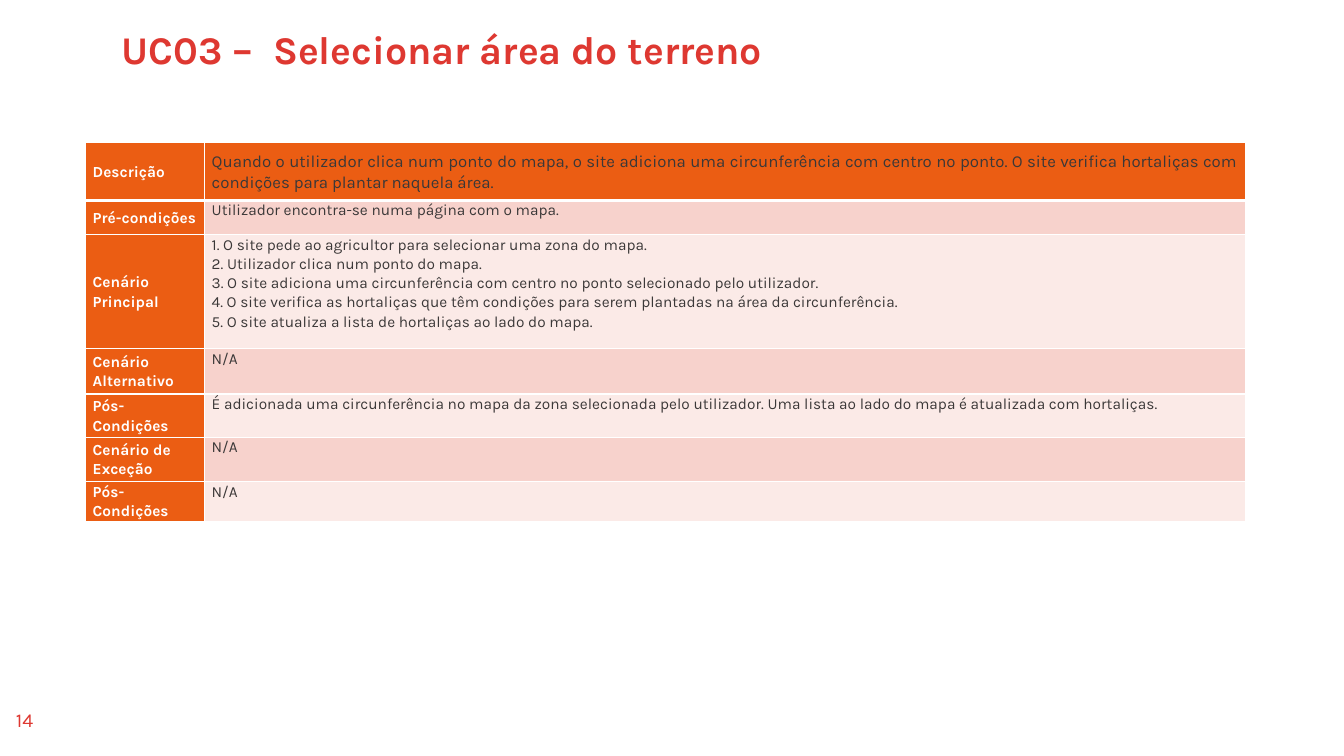
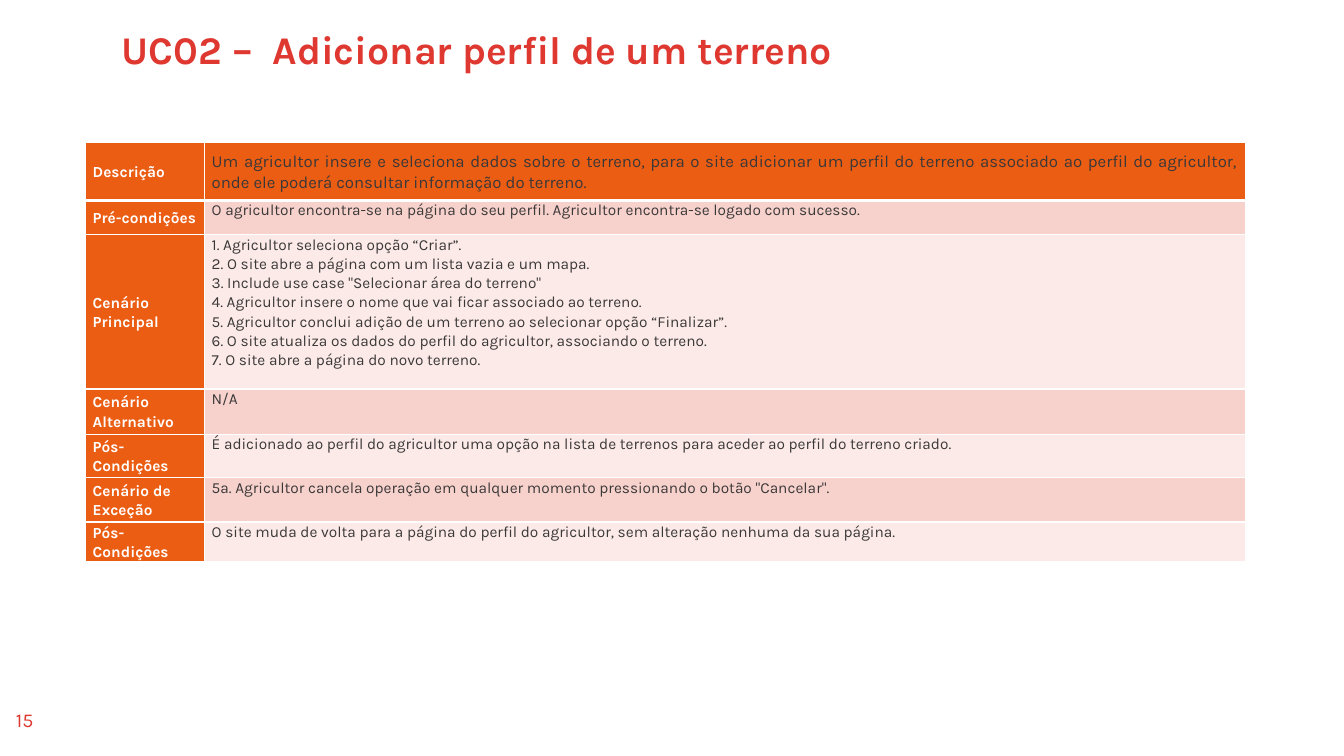
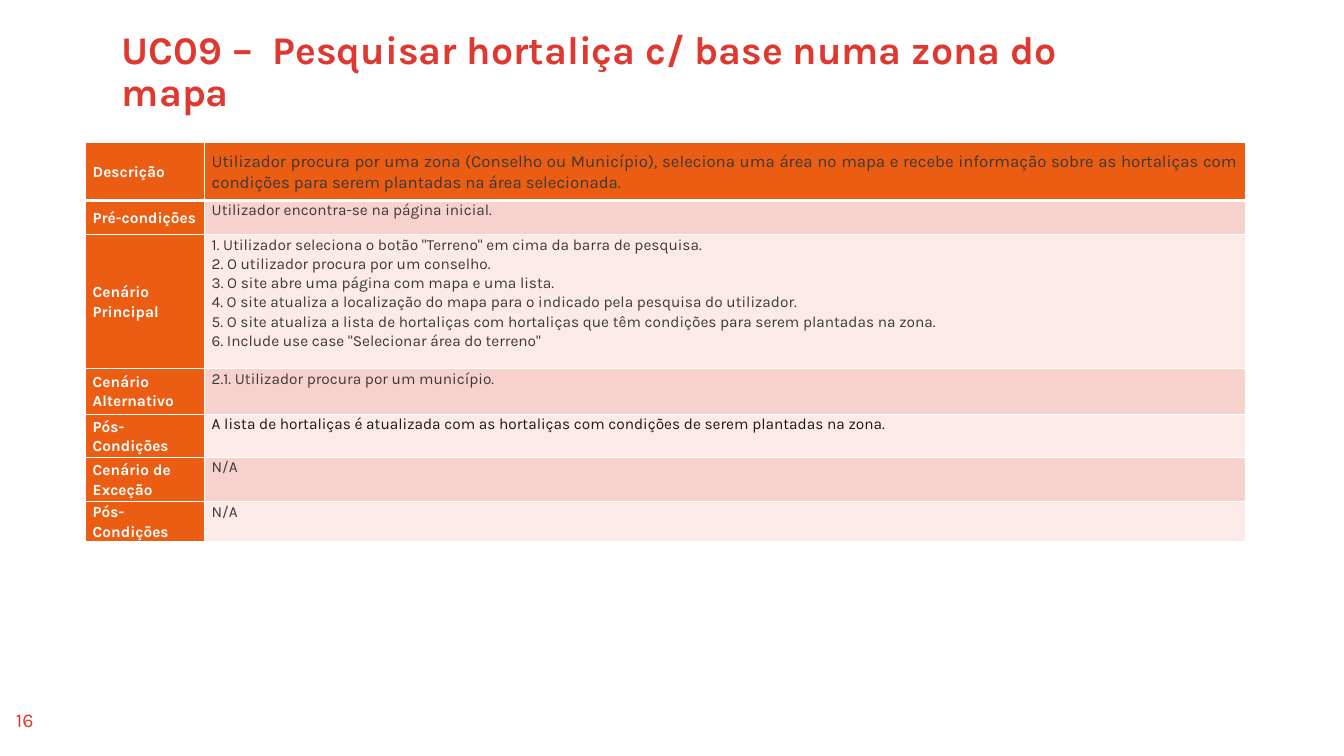
from lxml.etree import SubElement
from pptx import Presentation
from pptx.dml.color import RGBColor
from pptx.enum.text import MSO_ANCHOR, MSO_AUTO_SIZE, PP_ALIGN
from pptx.oxml.ns import qn
from pptx.util import Inches, Pt

# Shared style
FONT = "Karla"
RED = RGBColor(0xDE, 0x38, 0x31)
ORANGE = RGBColor(0xEB, 0x5D, 0x13)
DARK_PINK = RGBColor(0xF7, 0xD2, 0xCC)
LIGHT_PINK = RGBColor(0xFB, 0xEA, 0xE7)
GRAY = RGBColor(0x3B, 0x38, 0x38)
BLACK = RGBColor(0x18, 0x17, 0x17)
WHITE = RGBColor(0xFF, 0xFF, 0xFF)

TITLE_FORMAT = {"size": Pt(28), "bold": True, "color": RED}
NUMBER_FORMAT = {"size": Pt(14), "bold": False, "color": RED}
LABEL_FORMAT = {"size": Pt(11), "bold": True, "color": WHITE}
BODY_FORMAT = {"size": Pt(11), "bold": False, "color": GRAY}
DESCRIPTION_FORMAT = BODY_FORMAT | {"size": Pt(12)}

# Left, top, width, height in inches
TITLE_BOX = (1.11, 0.25, 10.41, 0.45)
NUMBER_BOX = (0.01, 6.97, 0.47, 0.4)
TABLE_LEFT, TABLE_TOP = 0.85, 1.41
COLUMN_WIDTHS = (1.18, 10.32)
ROW_HEIGHTS = (0.58, 0.34, 1.13, 0.45, 0.43, 0.44, 0.38)
MAIN_ROW = 2
MAIN_ROW_STEPS = 5  # steps that fit the main row's base height
STEP_HEIGHT = 0.2
FIRST_NUMBER = 14

ROW_LABELS = (
    "Descrição", "Pré-condições", "Cenário Principal", "Cenário Alternativo",
    "Pós-Condições", "Cenário de Exceção", "Pós-Condições",
)

# One list of paragraphs for each table row
USE_CASES = [
    {
        "title": "UC03 –  Selecionar área do terreno",
        "rows": [
            ["Quando o utilizador clica num ponto do mapa, o site adiciona uma circunferência com "
             "centro no ponto. O site verifica hortaliças com condições para plantar naquela área."],
            ["Utilizador encontra-se numa página com o mapa."],
            ["1. O site pede ao agricultor para selecionar uma zona do mapa.",
             "2. Utilizador clica num ponto do mapa.",
             "3. O site adiciona uma circunferência com centro no ponto selecionado pelo utilizador.",
             "4. O site verifica as hortaliças que têm condições para serem plantadas na área da "
             "circunferência.",
             "5. O site atualiza a lista de hortaliças ao lado do mapa."],
            ["N/A"],
            ["É adicionada uma circunferência no mapa da zona selecionada pelo utilizador. Uma lista "
             "ao lado do mapa é atualizada com hortaliças."],
            ["N/A"],
            ["N/A"],
        ],
    },
    {
        "title": "UC02 –  Adicionar perfil de um terreno",
        "rows": [
            ["Um agricultor insere e seleciona dados sobre o terreno, para o site adicionar um perfil "
             "do terreno associado ao perfil do agricultor, onde ele poderá consultar informação do "
             "terreno."],
            ["O agricultor encontra-se na página do seu perfil. Agricultor encontra-se logado com "
             "sucesso."],
            ["1. Agricultor seleciona opção “Criar”.",
             "2. O site abre a página com um lista vazia e um mapa.",
             "3. Include use case \"Selecionar área do terreno\"",
             "4. Agricultor insere o nome que vai ficar associado ao terreno.",
             "5. Agricultor conclui adição de um terreno ao selecionar opção “Finalizar”.",
             "6. O site atualiza os dados do perfil do agricultor, associando o terreno.",
             "7. O site abre a página do novo terreno."],
            ["N/A"],
            ["É adicionado ao perfil do agricultor uma opção na lista de terrenos para aceder ao "
             "perfil do terreno criado."],
            ["5a. Agricultor cancela operação em qualquer momento pressionando o botão \"Cancelar\"."],
            ["O site muda de volta para a página do perfil do agricultor, sem alteração nenhuma da "
             "sua página."],
        ],
    },
    {
        "title": "UC09 –  Pesquisar hortaliça c/ base numa zona do mapa",
        "rows": [
            ["Utilizador procura por uma zona (Conselho ou Município), seleciona uma área no mapa e "
             "recebe informação sobre as hortaliças com condições para serem plantadas na área "
             "selecionada."],
            ["Utilizador encontra-se na página inicial."],
            ["1. Utilizador seleciona o botão \"Terreno\" em cima da barra de pesquisa.",
             "2. O utilizador procura por um conselho.",
             "3. O site abre uma página com mapa e uma lista.",
             "4. O site atualiza a localização do mapa para o indicado pela pesquisa do utilizador.",
             "5. O site atualiza a lista de hortaliças com hortaliças que têm condições para serem "
             "plantadas na zona.",
             "6. Include use case \"Selecionar área do terreno\""],
            ["2.1. Utilizador procura por um município."],
            ["A lista de hortaliças é atualizada com as hortaliças com condições de serem plantadas "
             "na zona."],
            ["N/A"],
            ["N/A"],
        ],
        "row_colors": {4: BLACK},
    },
]


def write_text(text_frame, lines, text_format, alignment, line_spacing):
    """Fill a text frame with one formatted paragraph for each line."""
    for index, line in enumerate(lines):
        paragraph = text_frame.add_paragraph() if index else text_frame.paragraphs[0]
        paragraph.alignment = alignment
        paragraph.line_spacing = line_spacing
        run = paragraph.add_run()
        run.text = line
        run.font.name = FONT
        for name, value in text_format.items():
            if name == "color":
                run.font.color.rgb = value
            else:
                setattr(run.font, name, value)


def set_borders(cell, top, bottom):
    """Draw white cell borders; top and bottom widths are in points."""
    properties = cell._tc.get_or_add_tcPr()
    widths = {"a:lnL": 1, "a:lnR": 1, "a:lnT": top, "a:lnB": bottom}
    for position, (tag, width) in enumerate(widths.items()):
        line = SubElement(properties, qn(tag), w=str(Pt(width)))
        fill = SubElement(line, qn("a:solidFill"))
        SubElement(fill, qn("a:srgbClr"), val=str(WHITE))
        properties.insert(position, line)  # borders come before the fill


def format_cell(cell, lines, text_format, fill, alignment, anchor):
    cell_format = {
        "margin_left": Inches(0.07), "margin_right": Inches(0.07),
        "margin_top": 0, "margin_bottom": 0, "vertical_anchor": anchor,
    }
    for name, value in cell_format.items():
        setattr(cell, name, value)
    cell.fill.solid()
    cell.fill.fore_color.rgb = fill
    write_text(cell.text_frame, lines, text_format, alignment, 1.07)


def add_title(slide, text, box):
    title = slide.shapes.title
    title.left, title.top, title.width, title.height = map(Inches, box)
    frame_format = {
        "word_wrap": True, "auto_size": MSO_AUTO_SIZE.NONE, "vertical_anchor": MSO_ANCHOR.TOP,
    }
    for name, value in frame_format.items():
        setattr(title.text_frame, name, value)
    write_text(title.text_frame, [text], TITLE_FORMAT, PP_ALIGN.LEFT, 0.9)


def add_number(slide, number, box):
    text_box = slide.shapes.add_textbox(*map(Inches, box))
    text_box.text_frame.word_wrap = True
    write_text(text_box.text_frame, [str(number)], NUMBER_FORMAT, PP_ALIGN.CENTER, 1.0)


def add_use_case_table(slide, rows, row_colors, left, top):
    heights = list(ROW_HEIGHTS)
    heights[MAIN_ROW] += STEP_HEIGHT * (len(rows[MAIN_ROW]) - MAIN_ROW_STEPS)
    table = slide.shapes.add_table(
        len(rows), len(COLUMN_WIDTHS), Inches(left), Inches(top),
        Inches(sum(COLUMN_WIDTHS)), Inches(sum(heights)),
    ).table
    table.first_row = table.horz_banding = False
    for column, width in zip(table.columns, COLUMN_WIDTHS):
        column.width = Inches(width)

    for index, (label, lines) in enumerate(zip(ROW_LABELS, rows)):
        table.rows[index].height = Inches(heights[index])
        label_cell, body_cell = table.cell(index, 0), table.cell(index, 1)
        format_cell(label_cell, [label], LABEL_FORMAT, ORANGE, PP_ALIGN.LEFT, MSO_ANCHOR.MIDDLE)

        # The description row is the heading; the others alternate pinks
        if index == 0:
            body_format, fill, anchor = DESCRIPTION_FORMAT, ORANGE, MSO_ANCHOR.MIDDLE
        else:
            body_format = BODY_FORMAT | {"color": row_colors.get(index, GRAY)}
            fill, anchor = (DARK_PINK if index % 2 else LIGHT_PINK), MSO_ANCHOR.TOP
        format_cell(body_cell, lines, body_format, fill, PP_ALIGN.JUSTIFY, anchor)

        for cell in (label_cell, body_cell):
            set_borders(cell, top=3 if index == 1 else 1, bottom=3 if index == 0 else 1)


def add_use_case_slide(presentation, use_case, number):
    slide = presentation.slides.add_slide(presentation.slide_layouts[5])
    add_title(slide, use_case["title"], TITLE_BOX)
    add_number(slide, number, NUMBER_BOX)
    add_use_case_table(
        slide, use_case["rows"], use_case.get("row_colors", {}), TABLE_LEFT, TABLE_TOP
    )


def main():
    presentation = Presentation()
    presentation.slide_width = Inches(13.33)
    presentation.slide_height = Inches(7.5)
    for number, use_case in enumerate(USE_CASES, start=FIRST_NUMBER):
        add_use_case_slide(presentation, use_case, number)
    presentation.save("out.pptx")


if __name__ == "__main__":
    main()
